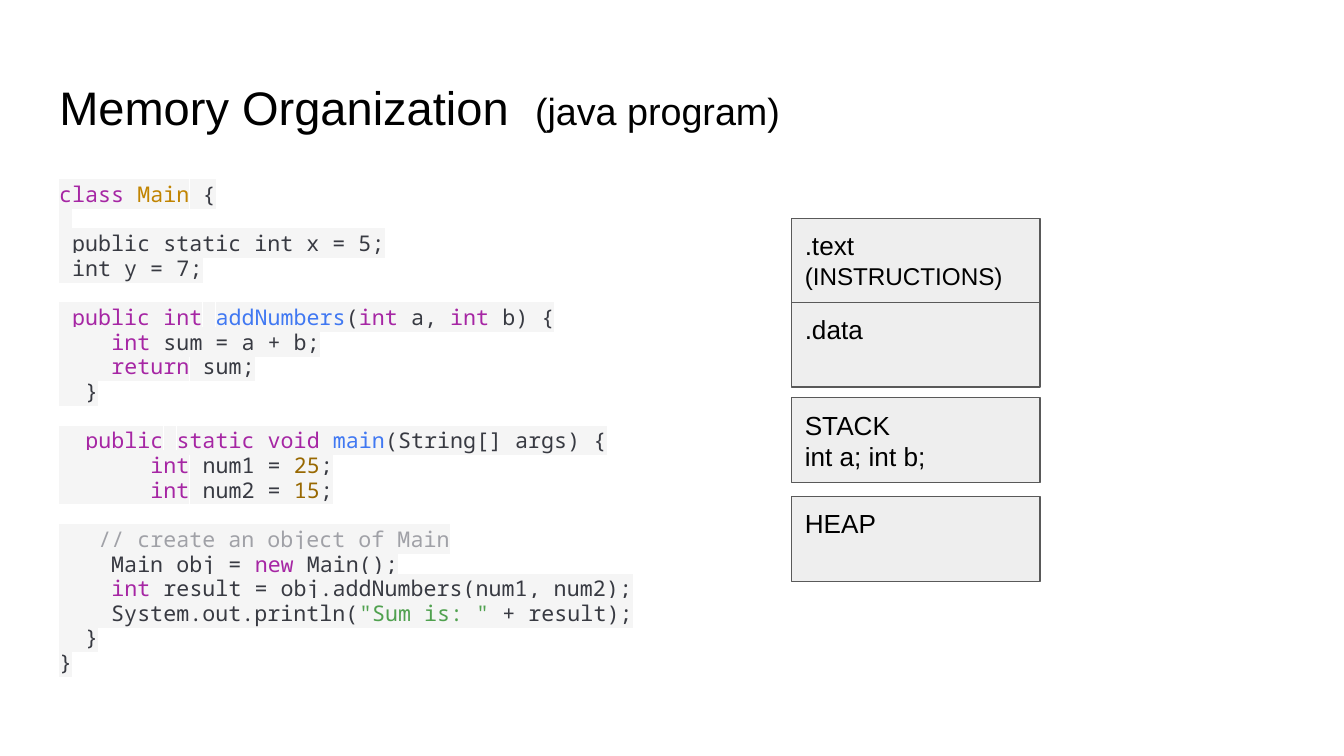
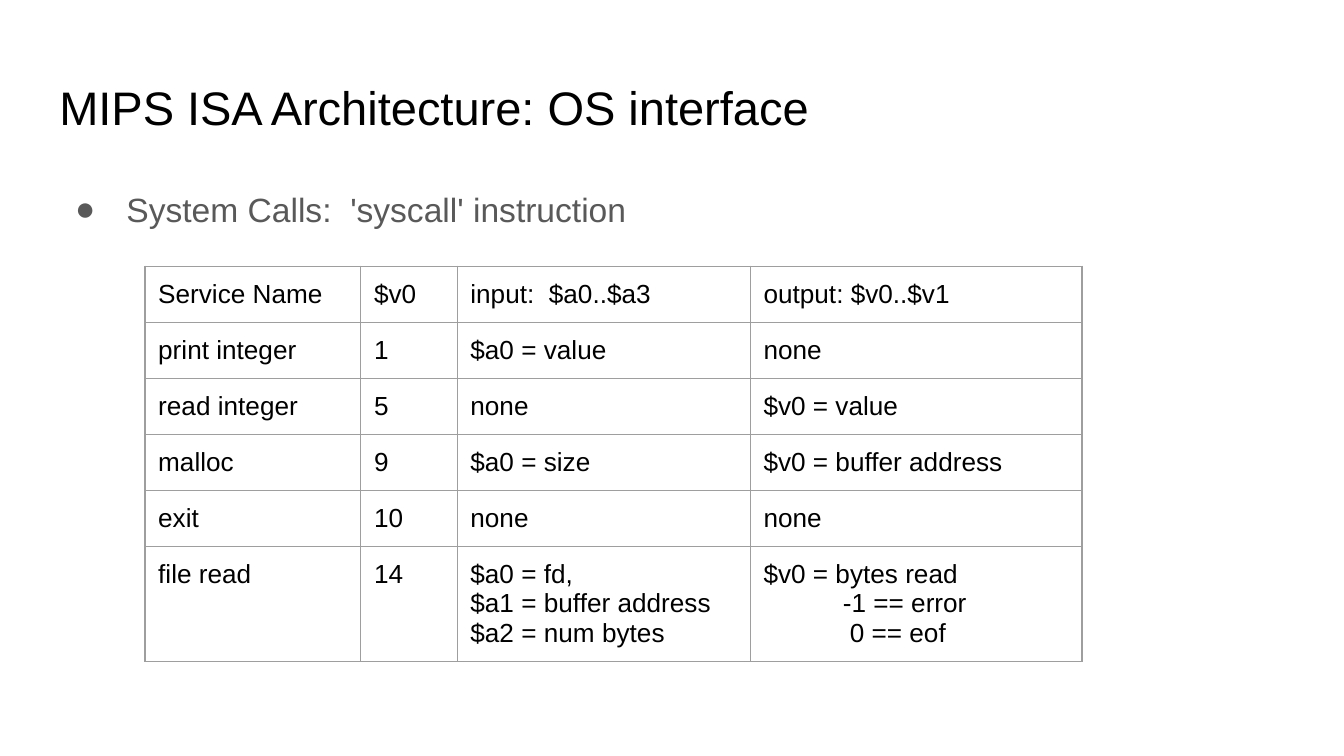
from copy import deepcopy
from dataclasses import dataclass

from lxml.etree import SubElement
from pptx import Presentation
from pptx.dml.color import RGBColor
from pptx.enum.shapes import MSO_SHAPE
from pptx.enum.text import MSO_ANCHOR, MSO_AUTO_SIZE, PP_ALIGN
from pptx.oxml import parse_xml
from pptx.oxml.ns import nsdecls, qn
from pptx.util import Cm, Pt

# ---- Content ----
MEMORY_TITLE = [("Memory Organization  ", "title"), ("(java program)", "subtitle")]
SYSCALL_TITLE = [("MIPS ISA Architecture: OS interface", "title")]
SYSCALL_POINT = "System Calls:  'syscall' instruction"

# Each code line is a list of (text, syntax kind)
JAVA_CODE = [
    [("class", "keyword"), (" ", "plain"), ("Main", "type"), (" {", "plain")],
    [(" ", "plain")],
    [(" public static int x = 5;", "plain")],
    [(" int y = 7;", "plain")],
    [],
    [(" ", "plain"), ("public", "keyword"), (" ", "plain"), ("int", "keyword"),
     (" ", "plain"), ("addNumbers", "function"), ("(", "plain"), ("int", "keyword"),
     (" a, ", "plain"), ("int", "keyword"), (" b) {", "plain")],
    [("    ", "plain"), ("int", "keyword"), (" sum = a + b;", "plain")],
    [("    ", "plain"), ("return", "keyword"), (" sum;", "plain")],
    [("  }", "plain")],
    [],
    [("  ", "plain"), ("public", "keyword"), (" ", "plain"), ("static", "keyword"),
     (" ", "plain"), ("void", "keyword"), (" ", "plain"), ("main", "function"),
     ("(String[] args) {", "plain")],
    [("       ", "plain"), ("int", "keyword"), (" num1 = ", "plain"),
     ("25", "number"), (";", "plain")],
    [("       ", "plain"), ("int", "keyword"), (" num2 = ", "plain"),
     ("15", "number"), (";", "plain")],
    [],
    [("   ", "plain"), ("// create an object of Main", "comment")],
    [("    Main obj = ", "plain"), ("new", "keyword"), (" Main();", "plain")],
    [("    ", "plain"), ("int", "keyword"),
     (" result = obj.addNumbers(num1, num2);", "plain")],
    [("    System.out.println(", "plain"), ('"Sum is: "', "string"),
     (" + result);", "plain")],
    [("  }", "plain")],
    [("}", "plain")],
]

# Top in cm, then lines of (text, size name) runs
MEMORY_SEGMENTS = [
    (4.13, [[(".text ", "label"), ("(INSTRUCTIONS)", "small_label")]]),
    (5.72, [[(".data", "label")]]),
    (7.52, [[("STACK", "label")], [("int a; int b;", "label")]]),
    (9.39, [[("HEAP", "label")]]),
]

SYSCALLS = [
    ("Service Name", "$v0", "input:  $a0..$a3", "output: $v0..$v1"),
    ("print integer", "1", "$a0 = value", "none"),
    ("read integer", "5", "none", "$v0 = value"),
    ("malloc", "9", "$a0 = size", "$v0 = buffer address"),
    ("exit", "10", "none", "none"),
    ("file read", "14", "$a0 = fd,\n$a1 = buffer address\n$a2 = num bytes",
     "$v0 = bytes read\n-1 == error\n0 == eof"),
]
RESULT_INDENTS = {"-1 == error": 1.5, "0 == eof": 1.63}
COLUMN_WIDTHS = (4.08, 1.82, 5.54, 6.27)
ROW_HEIGHTS = [1.06] * 5 + [2.17]


# ---- Theme ----
@dataclass(frozen=True)
class Theme:
    font: str = "Arial"
    code_font: str = "Noto Sans Mono"
    ink: str = "000000"
    body: str = "595959"
    segment: str = "EEEEEE"
    grid: str = "9E9E9E"
    code_back: str = "F5F5F5"


THEME = Theme()
SIZES = dict(title=25.2, subtitle=20.2, bullet=18, label=14, small_label=13, code=11.6)
SYNTAX = dict(keyword="A626A4", plain="383A42", type="C18401", function="4078F2",
              number="986801", comment="A0A1A7", string="50A14F")
TITLE_BOX = (0.87, 1.2, 23.67, 1.6)
BODY_BOX = (0.87, 3.2, 23.67, 9.5)
INSET = Cm(0.25)
FRAME = dict(word_wrap=True, auto_size=MSO_AUTO_SIZE.NONE,
             vertical_anchor=MSO_ANCHOR.TOP, margin_left=INSET, margin_right=INSET,
             margin_top=INSET, margin_bottom=INSET)


# ---- Helpers ----
def apply(target, values):
    for name, value in values.items():
        setattr(target, name, value)


def box(values):
    return [Cm(value) for value in values]


def add_run(paragraph, text, size, color=THEME.ink, font=THEME.font):
    run = paragraph.add_run()
    run.text = text
    apply(run.font, dict(size=Pt(SIZES[size]), name=font))
    run.font.color.rgb = RGBColor.from_string(color)
    return run


def add_titled_slide(deck, title_runs):
    slide = deck.slides.add_slide(deck.slide_layouts[5])
    title = slide.shapes.title
    apply(title, dict(zip(("left", "top", "width", "height"), box(TITLE_BOX))))
    apply(title.text_frame, {**FRAME, "vertical_anchor": MSO_ANCHOR.BOTTOM})
    heading = title.text_frame.paragraphs[0]
    heading.alignment = PP_ALIGN.LEFT
    for text, size in title_runs:
        add_run(heading, text, size)
    return slide


def add_body(slide):
    frame = slide.shapes.add_textbox(*box(BODY_BOX)).text_frame
    apply(frame, FRAME)
    return frame.paragraphs[0]


def add_code(paragraph, lines):
    paragraph.line_spacing = 0.95
    look = None
    for number, tokens in enumerate(lines):
        if number:
            paragraph.add_line_break()
            paragraph._p[-1].append(deepcopy(look))
        for text, kind in tokens:
            run = add_run(paragraph, text, "code", SYNTAX[kind], THEME.code_font)
            look = run.font._element
            look.find(qn("a:solidFill")).addnext(parse_xml(
                f'<a:highlight {nsdecls("a")}>'
                f'<a:srgbClr val="{THEME.code_back}"/></a:highlight>'))


def add_segment(slide, top, lines):
    segment = slide.shapes.add_shape(MSO_SHAPE.RECTANGLE, *box((14.96, top, 4.7, 1.6)))
    segment.shadow.inherit = False
    segment.fill.solid()
    segment.fill.fore_color.rgb = RGBColor.from_string(THEME.segment)
    segment.line.color.rgb = RGBColor.from_string(THEME.body)
    segment.line.width = Pt(0.75)
    frame = segment.text_frame
    apply(frame, {**FRAME, "margin_top": Cm(0.21)})
    for number, runs in enumerate(lines):
        paragraph = frame.add_paragraph() if number else frame.paragraphs[0]
        paragraph.alignment = PP_ALIGN.LEFT
        for text, size in runs:
            add_run(paragraph, text, size)


def add_bullet(paragraph, text):
    paragraph.line_spacing = 1.15
    add_run(paragraph, text, "bullet", THEME.body)
    properties = paragraph._p.get_or_add_pPr()
    properties.set("marL", str(Cm(1.27)))
    properties.set("indent", str(-Cm(0.97)))
    color = SubElement(properties, qn("a:buClr"))
    SubElement(color, qn("a:srgbClr"), val=THEME.body)
    SubElement(properties, qn("a:buFont"), typeface=THEME.font)
    SubElement(properties, qn("a:buChar"), char="●")


def fill_cell(cell, text):
    apply(cell, {name: value for name, value in FRAME.items() if "margin" in name})
    cell.fill.background()
    for place, side in enumerate(("lnL", "lnR", "lnT", "lnB")):
        cell._tc.get_or_add_tcPr().insert(place, parse_xml(
            f'<a:{side} {nsdecls("a")} w="{Pt(0.75)}"><a:solidFill>'
            f'<a:srgbClr val="{THEME.grid}"/></a:solidFill></a:{side}>'))
    frame = cell.text_frame
    for number, line in enumerate(text.split("\n")):
        paragraph = frame.add_paragraph() if number else frame.paragraphs[0]
        add_run(paragraph, line, "label")
        if line in RESULT_INDENTS:
            paragraph._p.get_or_add_pPr().set("marL", str(Cm(RESULT_INDENTS[line])))


def add_syscall_table(slide):
    area = box((2.74, 5.03, sum(COLUMN_WIDTHS), sum(ROW_HEIGHTS)))
    table = slide.shapes.add_table(len(SYSCALLS), len(COLUMN_WIDTHS), *area).table
    apply(table, dict(first_row=False, horz_banding=False))
    for column, width in zip(table.columns, COLUMN_WIDTHS):
        column.width = Cm(width)
    for row, height, texts in zip(table.rows, ROW_HEIGHTS, SYSCALLS):
        row.height = Cm(height)
        for cell, text in zip(row.cells, texts):
            fill_cell(cell, text)


# ---- Slides ----
def main():
    deck = Presentation()
    apply(deck, dict(slide_width=Cm(25.4), slide_height=Cm(14.29)))

    memory = add_titled_slide(deck, MEMORY_TITLE)
    add_code(add_body(memory), JAVA_CODE)
    for top, lines in MEMORY_SEGMENTS:
        add_segment(memory, top, lines)

    syscalls = add_titled_slide(deck, SYSCALL_TITLE)
    add_bullet(add_body(syscalls), SYSCALL_POINT)
    add_syscall_table(syscalls)

    deck.save("out.pptx")


if __name__ == "__main__":
    main()
